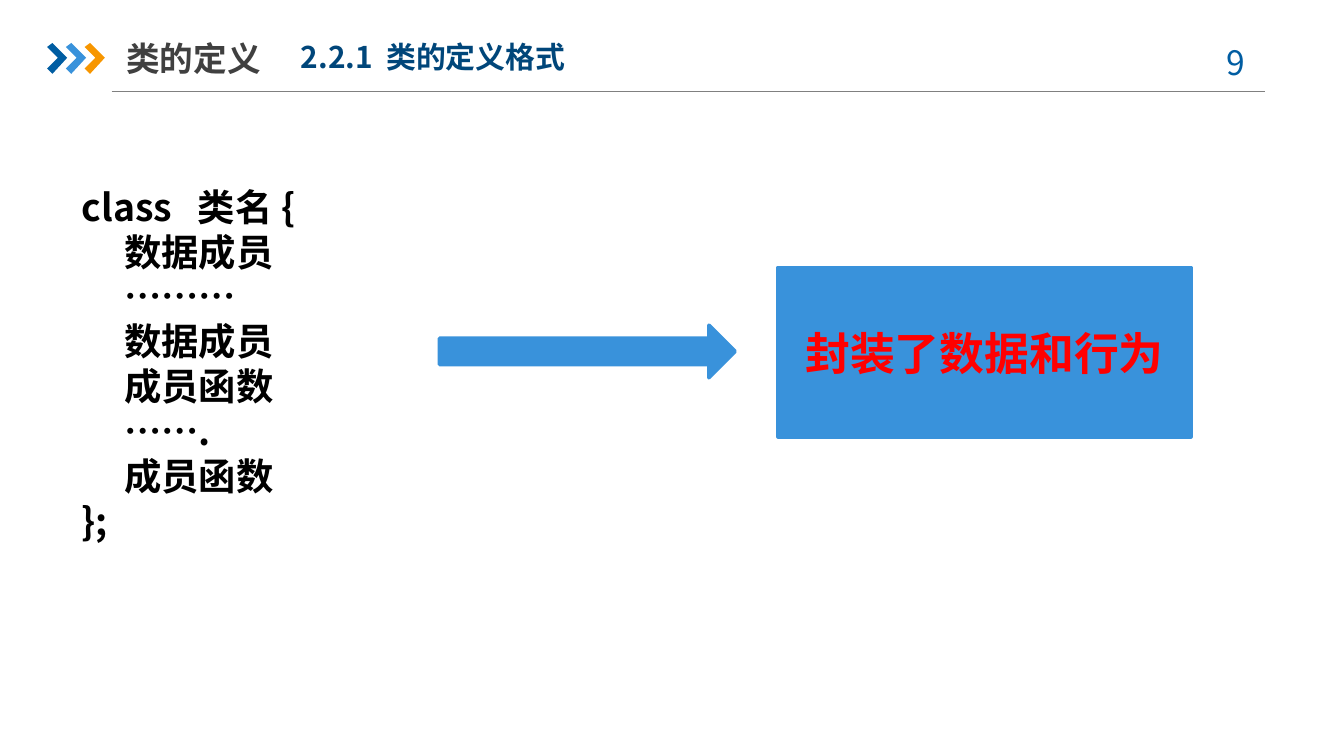
"""Build the slide that explains the format of a class definition."""
from lxml import etree
from pptx import Presentation
from pptx.dml.color import RGBColor
from pptx.enum.shapes import MSO_CONNECTOR, MSO_SHAPE
from pptx.enum.text import MSO_ANCHOR, MSO_AUTO_SIZE, PP_ALIGN
from pptx.oxml.ns import qn
from pptx.util import Inches, Pt

STRAIGHT = MSO_CONNECTOR.STRAIGHT
RECTANGLE, RIGHT_ARROW = MSO_SHAPE.RECTANGLE, MSO_SHAPE.RIGHT_ARROW
TOP, MIDDLE = MSO_ANCHOR.TOP, MSO_ANCHOR.MIDDLE
LEFT, CENTER = PP_ALIGN.LEFT, PP_ALIGN.CENTER
NO_AUTOFIT = MSO_AUTO_SIZE.NONE
TITLE_ONLY = 5

FONT = "Noto Sans CJK SC"
COLORS = {
    "navy": "005DA2",
    "blue": "3992DB",
    "orange": "F79600",
    "subtitle": "00467A",
    "title": "404040",
    "rule": "808080",
    "code": "000000",
    "emphasis": "FF0000",
}
CODE_LINES = [
    "class   类名 {",
    "     数据成员",
    "     ………",
    "     数据成员",
    "     成员函数",
    "     …….",
    "     成员函数",
    "};",
]
CHEVRON = [(0, 3), (4, 0), (15, 11), (4, 23), (0, 19), (8, 11)]
CHEVRON_LEFT, CHEVRON_TOP, CHEVRON_STEP = 35, 32, 14


def color(name):
    return RGBColor.from_string(COLORS[name])


def place(shape, left, top, width, height):
    shape.left, shape.top = Inches(left), Inches(top)
    shape.width, shape.height = Inches(width), Inches(height)


def write(shape, lines, size, color_name, bold=True, align=LEFT,
          anchor=TOP, font=FONT, spacing=None):
    frame = shape.text_frame
    frame.word_wrap = True
    frame.auto_size = NO_AUTOFIT
    frame.vertical_anchor = anchor
    for index, line in enumerate(lines):
        paragraph = frame.add_paragraph() if index else frame.paragraphs[0]
        paragraph.alignment = align
        if spacing:
            paragraph.line_spacing = Pt(spacing)
        run = paragraph.add_run()
        run.text = line
        run.font.size = Pt(size)
        run.font.bold = bold
        run.font.color.rgb = color(color_name)
        run.font.name = font
        east_asian = etree.SubElement(run.font._element, qn("a:ea"))
        east_asian.set("typeface", font)


def add_text(slide, box, lines, size, color_name, **style):
    shape = slide.shapes.add_textbox(*map(Inches, box))
    write(shape, lines, size, color_name, **style)


def add_block(slide, preset, box):
    shape = slide.shapes.add_shape(preset, *map(Inches, box))
    shape.shadow.inherit = False
    shape.fill.solid()
    shape.fill.fore_color.rgb = color("blue")
    shape.line.color.rgb = color("blue")
    shape.line.width = Pt(2)
    return shape


def add_rule(slide, left, right, y):
    rule = slide.shapes.add_connector(
        STRAIGHT, Inches(left), Inches(y), Inches(right), Inches(y))
    rule.line.color.rgb = color("rule")
    rule.line.width = Pt(0.75)
    etree.SubElement(rule._element.spPr, qn("a:effectLst"))


def add_chevrons(slide):
    group = slide.shapes.add_group_shape()
    for index, name in enumerate(("navy", "blue", "orange")):
        left = CHEVRON_LEFT + index * CHEVRON_STEP
        points = [(left + x, CHEVRON_TOP + y) for x, y in CHEVRON]
        builder = group.shapes.build_freeform(*points[0], scale=Inches(0.01))
        builder.add_line_segments(points[1:], close=True)
        chevron = builder.convert_to_shape()
        chevron.shadow.inherit = False
        chevron.fill.solid()
        chevron.fill.fore_color.rgb = color(name)
        chevron.line.fill.background()


def add_title(slide, text):
    title = slide.shapes.title
    place(title, 0.94, 0.22, 2.33, 0.42)
    title.text_frame.margin_left = title.text_frame.margin_right = 0
    write(title, [text], 18, "title", anchor=MIDDLE)


def main():
    presentation = Presentation()
    presentation.slide_width = Inches(10)
    presentation.slide_height = presentation.slide_width * 9 // 16
    slide = presentation.slides.add_slide(
        presentation.slide_layouts[TITLE_ONLY])

    add_rule(slide, 0.83, 9.41, 0.68)
    add_chevrons(slide)
    add_text(slide, (8.83, 0.26, 0.73, 0.4), ["9"], 18, "navy",
             bold=False, align=CENTER)
    add_title(slide, "类的定义")
    add_text(slide, (2.14, 0.24, 3.23, 0.37), ["2.2.1  类的定义格式"],
             16, "subtitle")
    add_text(slide, (0.51, 1.32, 2.99, 3.13), CODE_LINES, 20, "code",
             spacing=24)
    add_block(slide, RIGHT_ARROW, (3.27, 2.42, 2.2, 0.39))
    callout = add_block(slide, RECTANGLE, (5.79, 1.99, 3.07, 1.26))
    write(callout, ["封装了数据和行为"], 24, "emphasis", align=CENTER,
          anchor=MIDDLE, font="Calibri")

    presentation.save("out.pptx")


if __name__ == "__main__":
    main()
